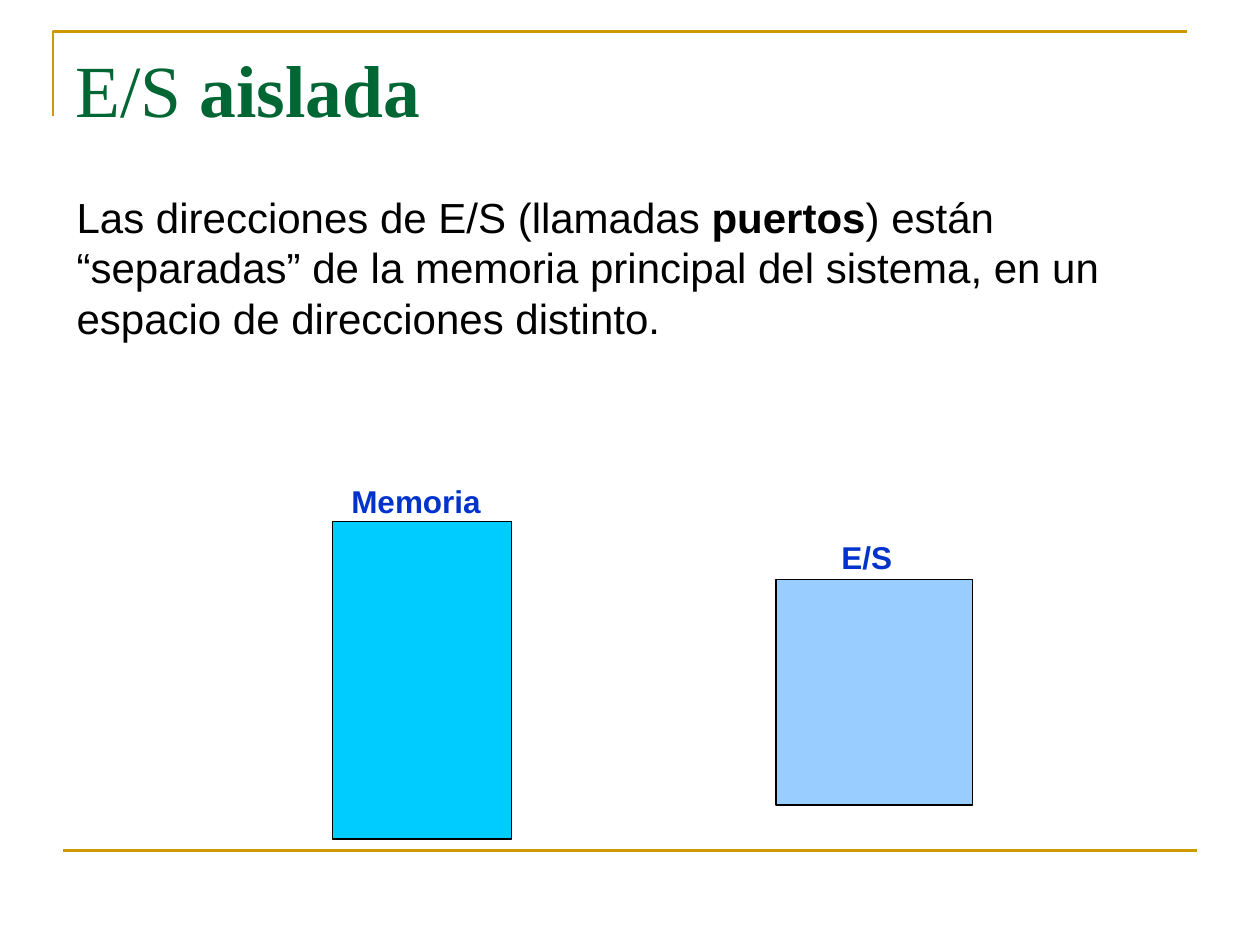
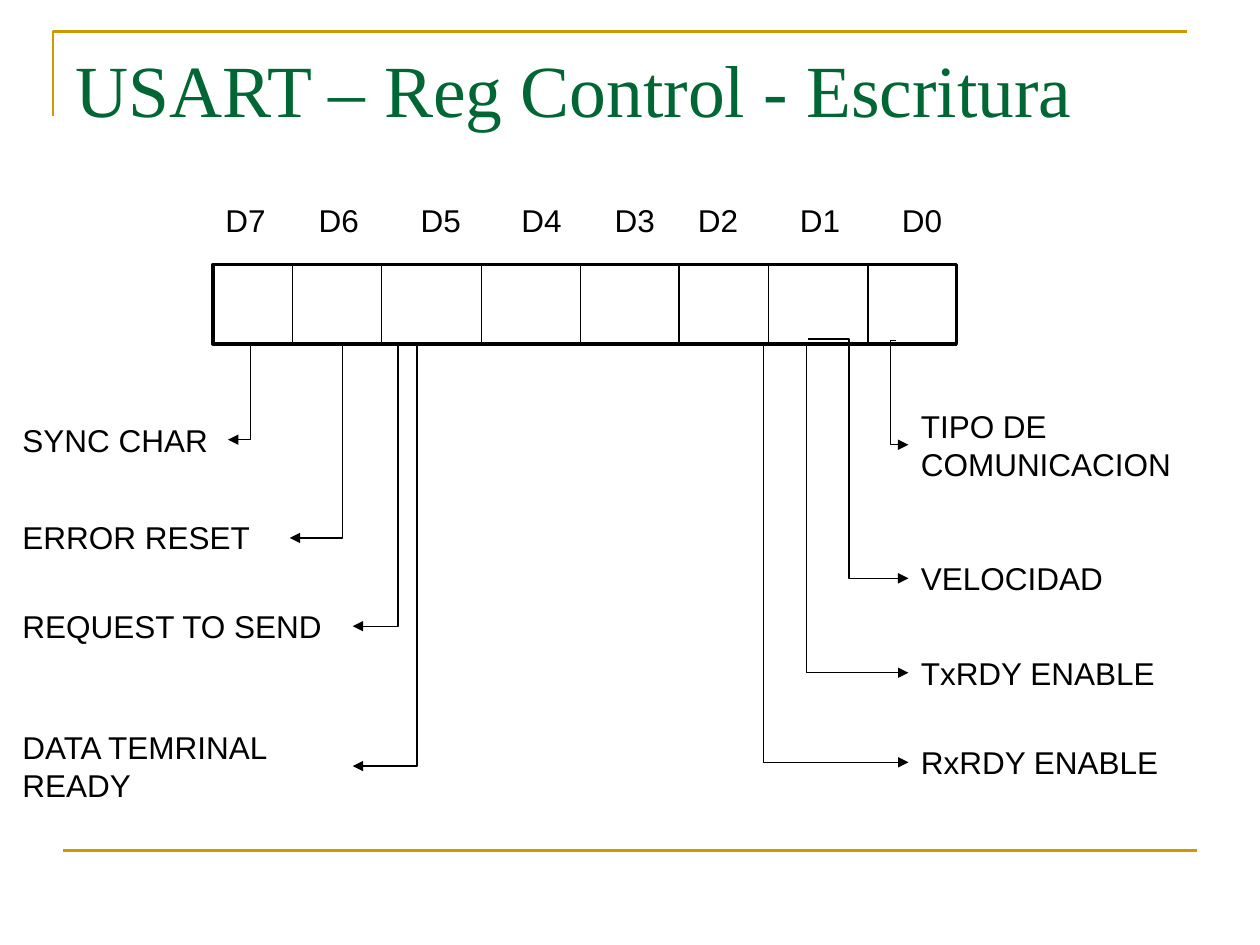
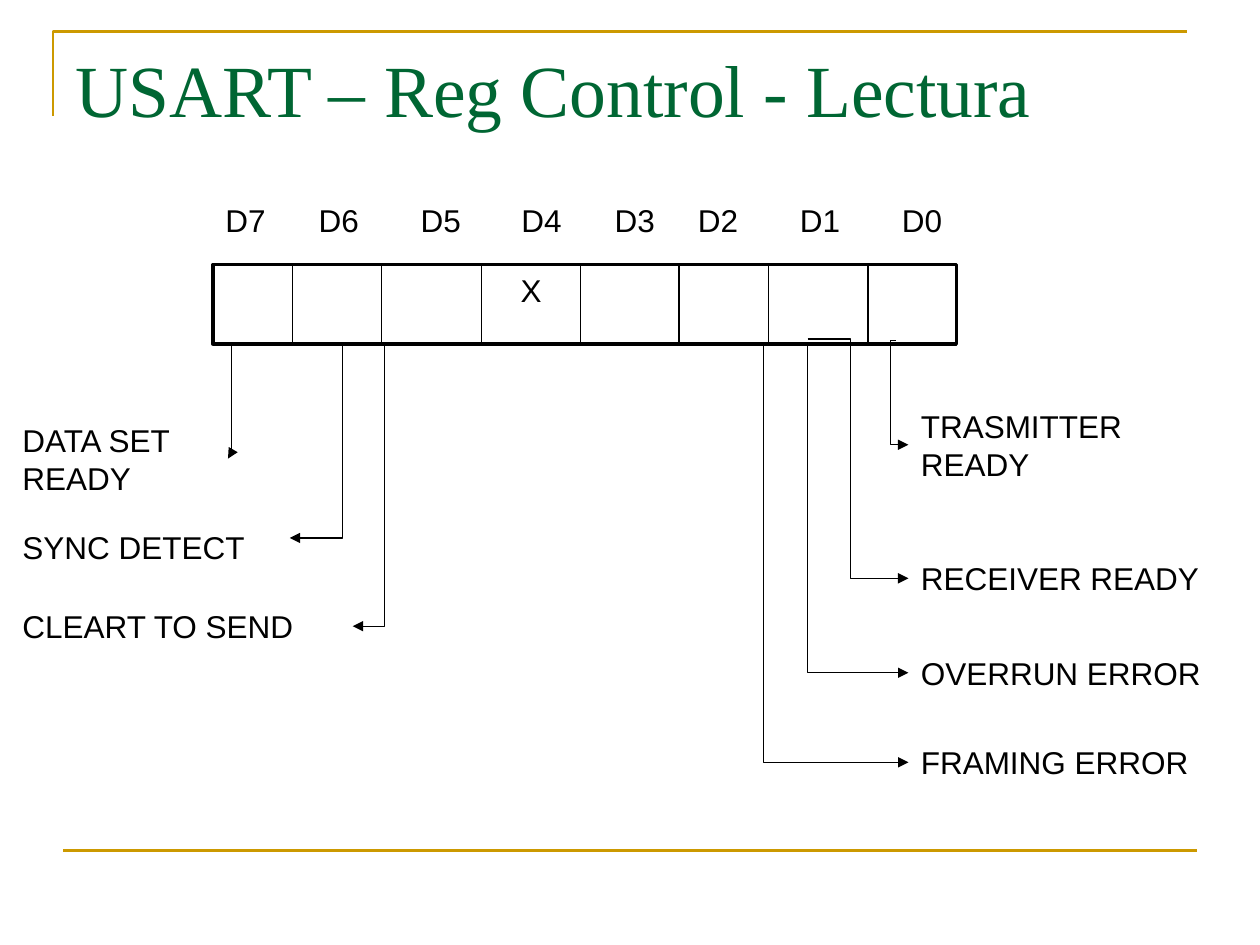
from lxml.etree import SubElement
from pptx import Presentation
from pptx.dml.color import RGBColor
from pptx.enum.shapes import MSO_CONNECTOR as Link, MSO_SHAPE as Form
from pptx.enum.text import PP_ALIGN as Align
from pptx.oxml.ns import qn
from pptx.util import Pt

PX = 9144
GOLD = RGBColor(0xCC, 0x99, 0x00)
GREEN = RGBColor(0x00, 0x66, 0x33)
BLUE = RGBColor(0x00, 0x33, 0xCC)
CYAN = RGBColor(0x00, 0xCC, 0xFF)
SKY = RGBColor(0x99, 0xCC, 0xFF)
BLACK = RGBColor(0, 0, 0)
WHITE = RGBColor(0xFF, 0xFF, 0xFF)
SANS = "Arial"
SERIF = "Times New Roman"

ROW_TOP, ROW_END = 210, 273
SPLITS = (232, 303, 382, 461, 539, 610, 689)
TABS = (74, 155, 235, 309, 375, 456, 537)
LEFT, RIGHT = 8, 721


class Deck:
    def __init__(self):
        self.prs = Presentation()
        self.prs.slide_width = 1000 * PX
        self.prs.slide_height = 750 * PX

    def page(self, *title):
        layout = self.prs.slide_layouts[6]
        self.shapes = self.prs.slides.add_slide(layout).shapes
        pen = self.shapes.build_freeform(42, 92, scale=PX)
        pen.add_line_segments([(42, 25), (942, 25)], close=False)
        frame = pen.convert_to_shape()
        frame.shadow.inherit = False
        frame.fill.background()
        self.ink(frame, GOLD, 1.5)
        self.line((50, 675), (950, 675), GOLD, 1.5)
        self.text((50, 30, 900, 125), *title, size=42, font=SERIF, color=GREEN)

    def ink(self, shape, color, width):
        shape.line.color.rgb = color
        shape.line.width = Pt(width)

    def box(self, area, fill, width=0.75):
        rect = self.shapes.add_shape(Form.RECTANGLE, *(n * PX for n in area))
        rect.shadow.inherit = False
        rect.fill.solid()
        rect.fill.fore_color.rgb = fill
        self.ink(rect, BLACK, width)

    def text(self, area, *runs, size=18, font=SANS, color=BLACK, wrap=True):
        frame = self.shapes.add_textbox(*(n * PX for n in area)).text_frame
        frame.word_wrap = wrap
        para = frame.paragraphs[0]
        for words, bold in runs:
            run = para.add_run()
            run.text = words
            run.font.size = Pt(size)
            run.font.name = font
            run.font.bold = bold
            run.font.color.rgb = color
        return para

    def line(self, start, end, color=BLACK, width=0.75, kind=Link.STRAIGHT):
        link = self.shapes.add_connector(kind, *(n * PX for n in start + end))
        self.ink(link, color, width)
        SubElement(link._element.spPr, qn("a:effectLst"))
        return link

    def elbow(self, start, bend, end):
        link = self.line(start, end, kind=Link.ELBOW)
        ratio = (bend - start[0]) / (end[0] - start[0])
        guides = link._element.spPr.find(qn("a:prstGeom")).get_or_add_avLst()
        SubElement(guides, qn("a:gd"), name="adj1", fmla=f"val {round(ratio * 100000)}")
        SubElement(link.line._get_or_add_ln(), qn("a:tailEnd"), type="triangle")

    def bits(self):
        self.box((169, ROW_TOP, 590, ROW_END - ROW_TOP), WHITE, 2)
        for x in SPLITS:
            self.line((x, ROW_TOP), (x, ROW_END - 1))
        names = "\t".join(f"D{n}" for n in range(7, -1, -1))
        para = self.text((169, 155, 591, 40), (names, False))
        stops = SubElement(para._p.get_or_add_pPr(), qn("a:tabLst"))
        for x in TABS:
            SubElement(stops, qn("a:tab"), pos=str(x * PX), algn="l")

    def note(self, words, area, start, bend, tip=None):
        x, y, wide, high = area
        self.text(area, (words, False))
        side = x + wide if x == LEFT else x
        self.elbow(start, bend, tip or (side, y + high // 2))

    def right(self, *notes):
        spots = (
            ((RIGHT, 318, 272, 70), (711, 270)),
            ((RIGHT, 439, 272, 40), (641, 269)),
            ((RIGHT, 514, 272, 40), (574, ROW_END)),
            ((RIGHT, 585, 272, 40), (503, ROW_END)),
        )
        for (words, bend), (area, start) in zip(notes, spots):
            self.note(words, area, start, bend)

    def left(self, *notes):
        starts = (209, 272, 353, 427)
        for (words, area, bend, tip), x in zip(notes, starts):
            self.note(words, (LEFT, *area), (x, ROW_END), bend, tip)


def main():
    deck = Deck()

    deck.page(("E/S ", False), ("aislada", True))
    deck.text(
        (51, 147, 898, 519),
        ("Las direcciones de E/S (llamadas ", False),
        ("puertos", True),
        (") están “separadas” de la memoria principal del sistema, "
         "en un espacio de direcciones distinto.", False),
        size=24,
    ).space_before = Pt(6)
    deck.box((264, 414, 142, 252), CYAN)
    deck.box((616, 460, 156, 179), SKY)
    deck.text((658, 422, 60, 40), ("E/S", True), color=BLUE, wrap=False)
    deck.text((269, 378, 123, 40), ("Memoria", True), color=BLUE, wrap=False)

    turn = (230, 427)
    deck.page(("USART – Reg Control - Escritura", False))
    deck.bits()
    deck.left(
        ("SYNC CHAR", (329, 173, 40), 199, None),
        ("ERROR RESET", (406, 201, 40), 272, turn),
        ("REQUEST TO SEND", (477, 272, 40), 316, None),
        ("DATA TEMRINAL READY", (573, 272, 70), 331, None),
    )
    deck.right(
        ("TIPO DE COMUNICACION", 707),
        ("VELOCIDAD", 674),
        ("TxRDY ENABLE", 640),
        ("RxRDY ENABLE", 606),
    )

    deck.page(("USART – Reg Control - Lectura", False))
    deck.bits()
    deck.left(
        ("DATA SET READY", (329, 173, 70), 184, None),
        ("SYNC DETECT", (414, 201, 40), 272, turn),
        ("CLEART TO SEND", (477, 272, 40), 305, None),
    )
    deck.right(
        ("TRASMITTER READY", 707),
        ("RECEIVER READY", 675),
        ("OVERRUN ERROR", 641),
        ("FRAMING ERROR", 606),
    )
    deck.text((382, 210, 79, 40), ("X", False)).alignment = Align.CENTER

    deck.prs.save("out.pptx")


if __name__ == "__main__":
    main()
